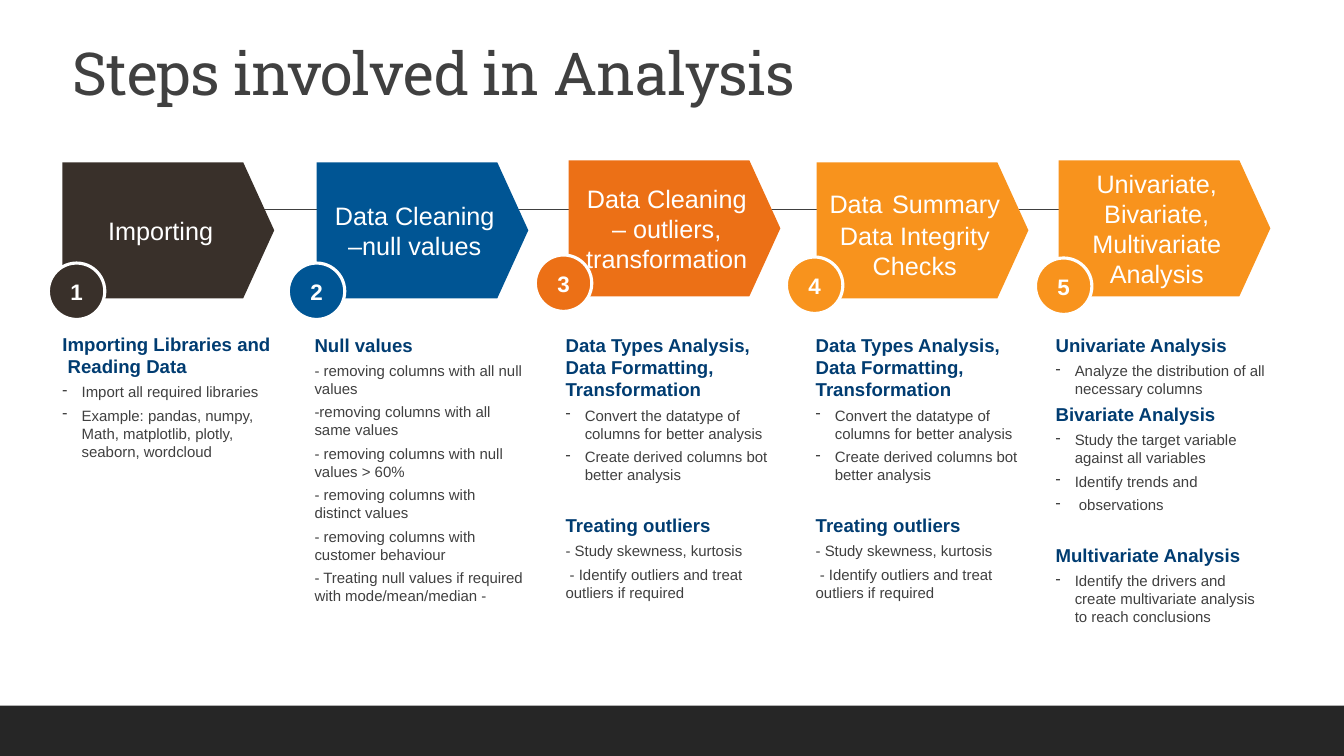
from pptx import Presentation
from pptx.dml.color import RGBColor
from pptx.enum import shapes, text
from pptx.oxml import parse_xml
from pptx.oxml.ns import nsdecls
from pptx.util import Inches, Pt

WHITE = RGBColor(0xFF, 0xFF, 0xFF)
GREY = RGBColor(0x40, 0x40, 0x40)
BLACK = RGBColor(0x26, 0x26, 0x26)
NAVY = RGBColor(0x00, 0x3C, 0x71)
BROWN = RGBColor(0x39, 0x30, 0x2A)
BLUE = RGBColor(0x00, 0x55, 0x94)
RUST = RGBColor(0xEC, 0x70, 0x16)
AMBER = RGBColor(0xF8, 0x93, 0x1D)

WIDTH, HEIGHT = 2.1, 1.35  # step arrow
DISC = 0.56

# Notes are (kind, text): H heading, G heading after a gap, B bullet, P plain
OUTLIERS = [
    ("H", "Data Types Analysis, Data Formatting, Transformation"),
    ("B", "Convert the datatype of columns for better analysis"),
    ("B", "Create derived columns bot better analysis"),
    ("G", "Treating outliers"),
    ("P", "- Study skewness, kurtosis"),
    ("P", " - Identify outliers and treat outliers if required"),
]

# Colour, arrow corner, disc corner, notes corner, label, notes.
# In a label, "|" parts the runs and "\n" the paragraphs.
STEPS = [
    (BROWN, (0.62, 1.61), (0.48, 2.61), (0.62, 3.3), "Importing", [
        ("H", "Importing Libraries and\v Reading Data"),
        ("B", "Import all required libraries"),
        ("B", "Example: pandas, numpy, Math, matplotlib, plotly, "
              "seaborn, wordcloud"),
    ]),
    (BLUE, (3.14, 1.61), (2.86, 2.61), (3.12, 3.31),
     "Data Cleaning –null values", [
        ("H", "Null values"),
        ("P", "- removing columns with all null values"),
        ("P", "-removing columns with all same values"),
        ("P", "- removing columns with null values > 60%"),
        ("P", "- removing columns with distinct values"),
        ("P", "- removing columns with customer behaviour"),
        ("P", "- Treating null values if required with mode/mean/median -"),
    ]),
    (RUST, (5.64, 1.59), (5.31, 2.53), (5.61, 3.31),
     "Data Cleaning – outliers, transformation", OUTLIERS),
    (AMBER, (8.1, 1.61), (7.8, 2.55), (8.09, 3.31),
     "Data| |Summary\nData Integrity Checks", OUTLIERS),
    (AMBER, (10.5, 1.59), (10.27, 2.56), (10.47, 3.31),
     "Univariate, Bivariate, Multivariate Analysis", [
        ("H", "Univariate Analysis"),
        ("B", "Analyze the distribution of all necessary columns"),
        ("H", "Bivariate Analysis"),
        ("B", "Study the target variable against all variables"),
        ("B", "Identify trends and"),
        ("B", " observations"),
        ("G", "Multivariate Analysis"),
        ("B", "Identify the drivers and create multivariate analysis "
              "to reach conclusions"),
    ]),
]


def style(run, size, color, bold=False, face="Arial"):
    font = run.font
    font.name, font.size, font.bold = face, Pt(size), bold
    font.color.rgb = color


def add_block(slide, kind, box, color):
    block = slide.shapes.add_shape(kind, *map(Inches, box))
    block.shadow.inherit = False
    block.fill.solid()
    block.fill.fore_color.rgb = color
    block.line.fill.background()
    return block


def add_title(slide, box):
    title = slide.shapes.title
    title.left, title.top, title.width, title.height = map(Inches, box)
    frame = title.text_frame
    frame.text = "Steps involved in Analysis"
    frame.word_wrap = True
    frame.auto_size = text.MSO_AUTO_SIZE.NONE
    frame.vertical_anchor = text.MSO_ANCHOR.BOTTOM
    para = frame.paragraphs[0]
    para.alignment = text.PP_ALIGN.LEFT
    para.line_spacing = 0.9
    run = para.runs[0]
    style(run, 42.3, GREY, face="Roboto Slab")
    run.font._element.set("spc", "-50")


def add_rail(slide, left, right, top):
    rail = slide.shapes.add_connector(
        shapes.MSO_CONNECTOR.STRAIGHT,
        Inches(left), Inches(top), Inches(right), Inches(top))
    rail.line.color.rgb = GREY
    rail.line.width = Pt(1)
    rail._element.spPr.append(parse_xml(f"<a:effectLst {nsdecls('a')}/>"))


def add_arrow(slide, spot, color, label):
    arrow = add_block(slide, shapes.MSO_SHAPE.PENTAGON,
                      (*spot, WIDTH, HEIGHT), color)
    arrow.adjustments[0] = 0.228
    frame = arrow.text_frame
    frame.word_wrap = True
    frame.vertical_anchor = text.MSO_ANCHOR.MIDDLE
    for i, line in enumerate(label.split("\n")):
        para = frame.add_paragraph() if i else frame.paragraphs[0]
        para.alignment = text.PP_ALIGN.CENTER
        for part in line.split("|"):
            run = para.add_run()
            run.text = part
            style(run, 24 if part == " " else 18, WHITE)


def add_disc(slide, spot, color, number):
    disc = add_block(slide, shapes.MSO_SHAPE.OVAL, (*spot, DISC, DISC), color)
    disc.line.color.rgb = WHITE
    disc.line.width = Pt(2.25)
    frame = disc.text_frame
    frame.text = str(number)
    frame.word_wrap = False
    frame.vertical_anchor = text.MSO_ANCHOR.MIDDLE
    para = frame.paragraphs[0]
    para.alignment = text.PP_ALIGN.CENTER
    style(para.runs[0], 16, WHITE, True)


def add_notes(slide, box, notes):
    frame = slide.shapes.add_textbox(*map(Inches, box)).text_frame
    frame.word_wrap = True
    frame.margin_left = frame.margin_right = 0
    frame.margin_top = frame.margin_bottom = 0
    for i, (kind, words) in enumerate(notes):
        para = frame.add_paragraph() if i else frame.paragraphs[0]
        para.text = words
        para.space_after = Pt(4)
        if kind == "G":
            para.space_before = Pt(17.5)
        if kind == "B":
            props = para._p.get_or_add_pPr()
            props.set("marL", str(Inches(0.19)))
            props.set("indent", str(-Inches(0.19)))
            props.append(parse_xml(f'<a:buChar {nsdecls("a")} char="-"/>'))
        for run in para.runs:
            if kind in "HG":
                style(run, 13.3, NAVY, True)
            else:
                style(run, 10.7, GREY)


def add_step(slide, number, step):
    color, arrow, disc, spot, label, notes = step
    add_arrow(slide, arrow, color, label)
    add_disc(slide, disc, color, number)
    add_notes(slide, (*spot, WIDTH, 2.93), notes)


def main():
    deck = Presentation()
    deck.slide_width, deck.slide_height = Inches(13.33), Inches(7.5)
    slide = deck.slides.add_slide(deck.slide_layouts[5])

    # Footer band, title and the rail behind the steps
    add_block(slide, shapes.MSO_SHAPE.RECTANGLE, (0, 7, 13.33, 0.5), BLACK)
    add_title(slide, (0.62, 0.2, 11, 0.92))
    add_rail(slide, 1.31, 12.21, 2.08)

    # Five steps
    for number, step in enumerate(STEPS, 1):
        add_step(slide, number, step)
    deck.save("out.pptx")


if __name__ == "__main__":
    main()
